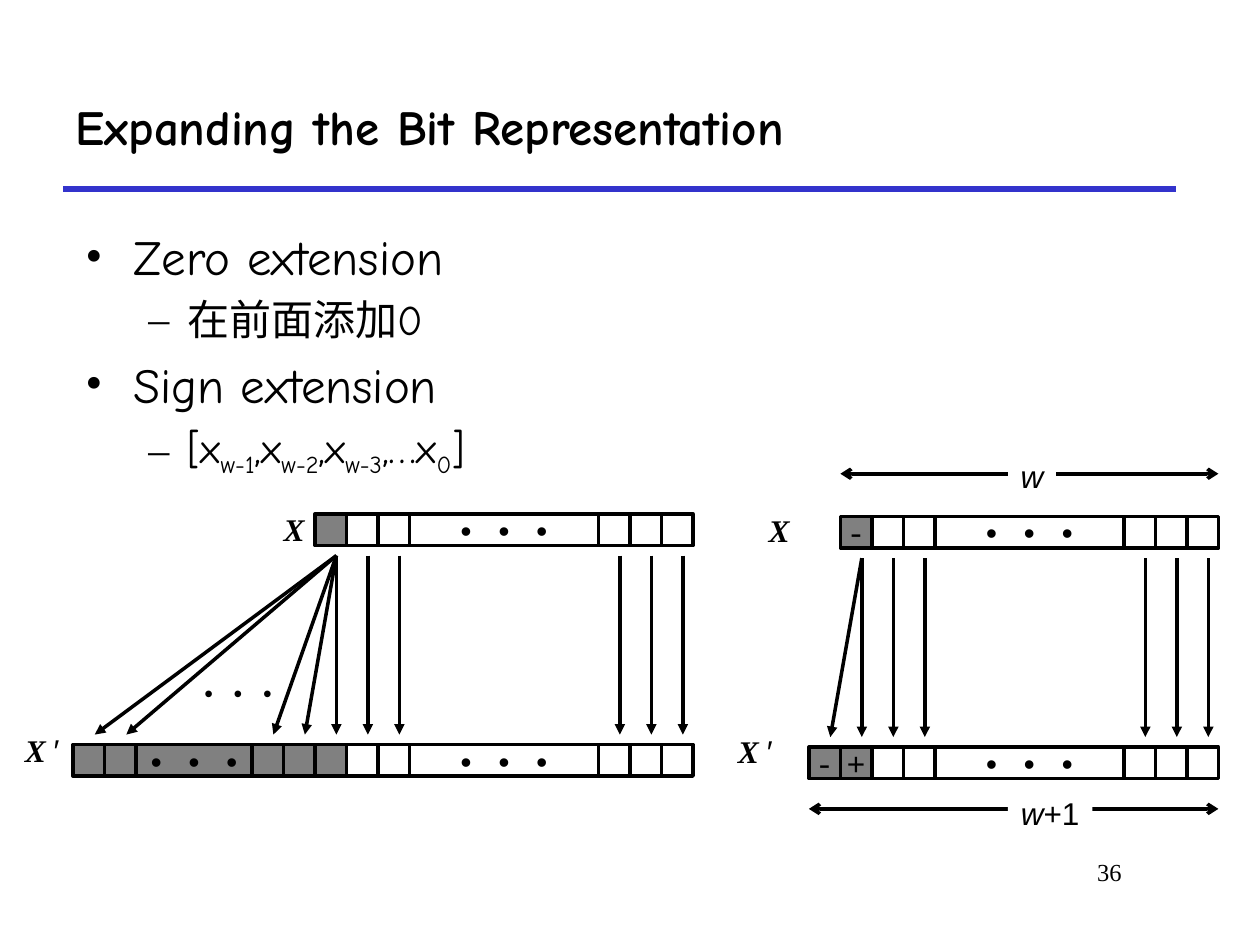
from lxml.etree import SubElement
from pptx import Presentation
from pptx.dml.color import RGBColor
from pptx.enum.shapes import MSO_CONNECTOR, MSO_SHAPE
from pptx.enum.text import MSO_ANCHOR, MSO_AUTO_SIZE, PP_ALIGN
from pptx.oxml.ns import qn
from pptx.util import Inches, Pt

# Content
TITLE = "Expanding the Bit Representation"
PAGE_NUMBER = "36"
DOTS = "•\u00a0•\u00a0•"
BLACK, WHITE, GRAY, BLUE = "000000", "FFFFFF", "808080", "3333CC"
# Each bullet: level, list of (text, is subscript)
BULLETS = [
    (0, [("Zero extension", False)]),
    (1, [("在前面添加0", False)]),
    (0, [("Sign extension", False)]),
    (1, [("[x", False), ("w-1", True), (",x", False), ("w-2", True),
         (",x", False), ("w-3", True), (",…x", False), ("0", True), ("]", False)]),
]
# Each level: size, left margin, indent, bullet sign
LEVELS = [(28, 0.38, -0.38, "•"), (24, 0.81, -0.31, "–")]

CELL = 0.25
# Cells of a word: width, fill, text
PLAIN, SHADED = (CELL, WHITE, ""), (CELL, GRAY, "")
MINUS, PLUS = (CELL, GRAY, "-"), (CELL, GRAY, "+")
REST = [PLAIN] * 2 + [(1.5, WHITE, DOTS)] + [PLAIN] * 3
# Each diagram: left and top of X, places of the row names, sign cells of X and X',
# and how many cells left of the sign bit the extra arrows reach
DIAGRAMS = [
    {"left": 2.5, "top": 4.08, "labels": [(2.15, 4), (0.09, 5.75)],
     "sign": [SHADED],
     "extended": [SHADED] * 2 + [(0.92, GRAY, DOTS)] + [SHADED] * 3,
     "fan": [1, 2, 6.67, 7.67]},
    {"left": 6.67, "top": 4.1, "labels": [(6, 4.01), (5.75, 5.76)],
     "sign": [MINUS], "extended": [MINUS, PLUS], "fan": [1]},
]
ROW_GAP = 1.83
STRAIGHT = [0, 1, 2, 9, 10, 11]  # cells of X copied straight down
# Width markers: left, line y, box left, box top, box width, runs
MARKERS = [
    (6.42, 6.42, 8, 6.25, 0.67, [("w", True), ("+1", False)]),
    (6.67, 3.76, 8, 3.58, 0.38, [("w", True)]),
]


def color(value):
    return RGBColor.from_string(value)


def add_span(para, text, size, font, bold=False, italic=False):
    span = para.add_run()
    span.text = text
    span.font.size, span.font.name = Pt(size), font
    span.font.bold, span.font.italic = bold, italic
    span.font.color.rgb = color(BLACK)
    return span


def add_label(page, left, top, width, height):
    """Add a centred one-line box that grows with its text."""
    box = page.shapes.add_textbox(Inches(left), Inches(top), Inches(width), Inches(height))
    box.text_frame.word_wrap = False
    box.text_frame.auto_size = MSO_AUTO_SIZE.SHAPE_TO_FIT_TEXT
    box.text_frame.paragraphs[0].alignment = PP_ALIGN.CENTER
    return box


def add_line(page, start, end, line_color=BLACK, width=2, head=None, tail=None):
    line = page.shapes.add_connector(
        MSO_CONNECTOR.STRAIGHT, *(Inches(value) for value in (*start, *end)))
    line.line.color.rgb = color(line_color)
    line.line.width = Pt(width)
    outline = line.line._get_or_add_ln()
    for tag, kind in (("a:headEnd", head), ("a:tailEnd", tail)):
        if kind:
            SubElement(outline, qn(tag), type=kind)
    SubElement(line._element.spPr, qn("a:effectLst"))


def add_word(page, left, top, cells):
    """Draw a row of bit cells from left to right."""
    for width, fill, text in cells:
        box = page.shapes.add_shape(
            MSO_SHAPE.RECTANGLE, Inches(left), Inches(top), Inches(width), Inches(CELL))
        box.shadow.inherit = False
        box.fill.solid()
        box.fill.fore_color.rgb = color(fill)
        box.line.color.rgb = color(BLACK)
        box.line.width = Pt(2)
        if text:
            frame = box.text_frame
            frame.word_wrap = False
            frame.vertical_anchor = MSO_ANCHOR.MIDDLE
            frame.paragraphs[0].alignment = PP_ALIGN.CENTER
            add_span(frame.paragraphs[0], text, 18, "Courier New")
        left += width


def add_bullets(page):
    box = page.shapes.add_textbox(Inches(0.58), Inches(1.75), Inches(8.67), Inches(4.83))
    frame = box.text_frame
    frame.word_wrap = True
    for index, (level, spans) in enumerate(BULLETS):
        para = frame.add_paragraph() if index else frame.paragraphs[0]
        size, margin, indent, sign = LEVELS[level]
        para.level = level
        properties = para._p.get_or_add_pPr()
        properties.set("marL", str(Inches(margin)))
        properties.set("indent", str(Inches(indent)))
        SubElement(properties, qn("a:buFont"), typeface="Times New Roman")
        SubElement(properties, qn("a:buChar"), char=sign)
        if index:
            para.space_before = Pt(size * 0.2)
        for text, subscript in spans:
            span = add_span(para, text, size, "Comic Neue")
            if subscript:
                span._r.get_or_add_rPr().set("baseline", "-25000")


def add_diagram(page, diagram):
    left, top = diagram["left"], diagram["top"]
    extended = diagram["extended"]
    extended_left = left + CELL - sum(width for width, _, _ in extended)
    add_word(page, left, top, diagram["sign"] + REST)
    add_word(page, extended_left, top + ROW_GAP, extended + REST)

    # Arrows from X to X'
    sign_x = left + 0.17
    start_y, end_y = top + 0.33, top + 1.75
    for column in STRAIGHT:
        x = sign_x + column * CELL
        add_line(page, (x, start_y), (x, end_y), tail="triangle")
    for reach in diagram["fan"]:
        add_line(page, (sign_x, start_y), (sign_x - reach * CELL, end_y), tail="triangle")

    # Row names
    for (x, y), width, prime in zip(diagram["labels"], (0.43, 0.49), ("", "′")):
        para = add_label(page, x, y, width, 0.4).text_frame.paragraphs[0]
        add_span(para, "X ", 18, "Times New Roman", bold=True, italic=True)
        if prime:
            add_span(para, prime, 18, "Arial")


def main():
    deck = Presentation()
    deck.slide_width, deck.slide_height = Inches(10), Inches(7.5)
    page = deck.slides.add_slide(deck.slide_layouts[5])

    # Title and rule
    title = page.shapes.title
    title.left, title.top = Inches(0.5), Inches(0.5)
    title.width, title.height = Inches(9.08), Inches(1)
    title.text_frame.vertical_anchor = MSO_ANCHOR.MIDDLE
    title.text_frame.paragraphs[0].alignment = PP_ALIGN.LEFT
    add_span(title.text_frame.paragraphs[0], TITLE, 28, "Comic Neue", bold=True)
    add_line(page, (0.5, 1.5), (9.33, 1.5), BLUE, 3)

    # Page number
    number = page.shapes.add_textbox(Inches(7.58), Inches(6.75), Inches(1.42), Inches(0.5))
    number.text_frame.word_wrap = True
    number.text_frame.paragraphs[0].alignment = PP_ALIGN.RIGHT
    add_span(number.text_frame.paragraphs[0], PAGE_NUMBER, 14, "Times New Roman")

    add_bullets(page)
    for diagram in DIAGRAMS:
        add_diagram(page, diagram)

    # Dots between the fanned arrows
    dots = add_label(page, 1.44, 5.33, 0.9, 0.33)
    add_span(dots.text_frame.paragraphs[0], DOTS, 14, "Courier New")

    # Width markers
    for left, y, box_left, box_top, width, spans in MARKERS:
        add_line(page, (left, y), (9.67, y), head="arrow", tail="arrow")
        box = add_label(page, box_left, box_top, width, 0.4)
        box.fill.solid()
        box.fill.fore_color.rgb = color(WHITE)
        for text, italic in spans:
            add_span(box.text_frame.paragraphs[0], text, 18, "Arial", italic=italic)

    deck.save("out.pptx")


if __name__ == "__main__":
    main()
